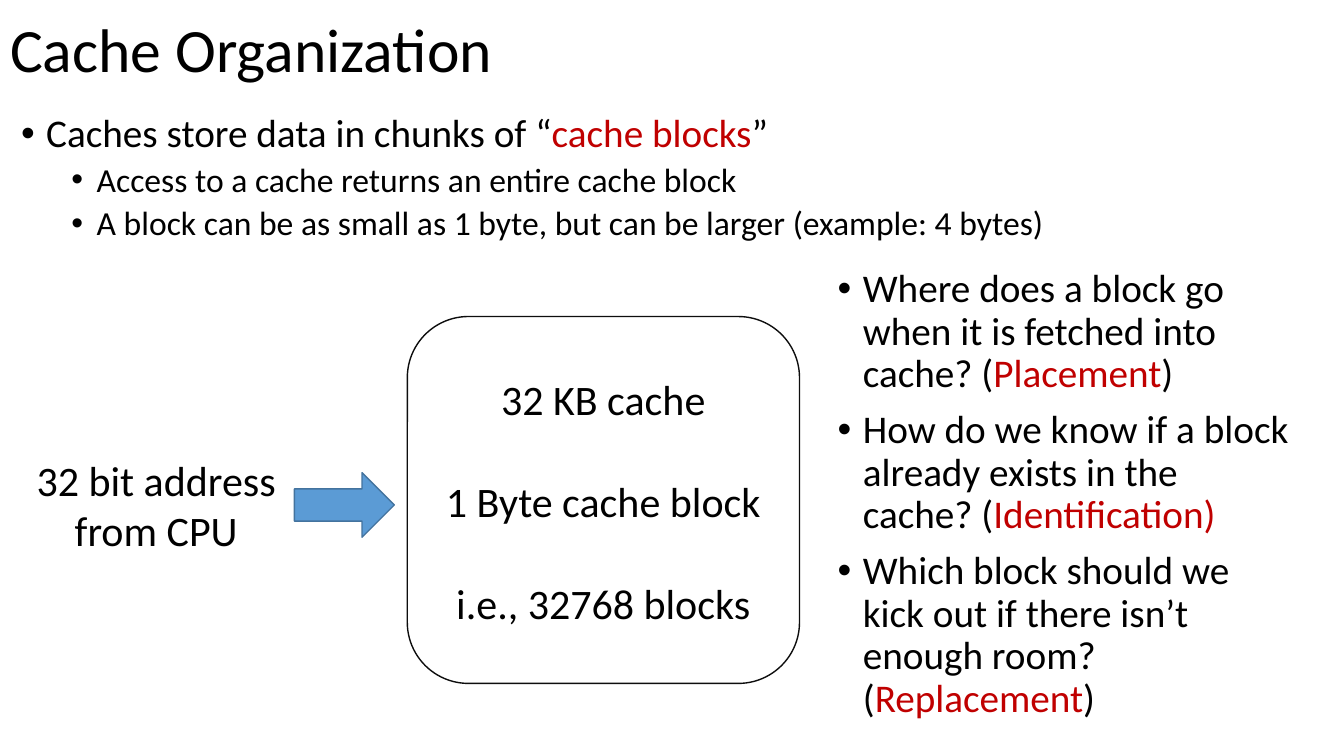
from lxml.etree import SubElement
from pptx import Presentation
from pptx.dml.color import RGBColor
from pptx.enum.shapes import MSO_SHAPE as SHAPE
from pptx.enum.text import MSO_ANCHOR as ANCHOR, PP_ALIGN as ALIGN
from pptx.oxml.ns import qn
from pptx.util import Inches, Pt

WIDTH, HEIGHT = Inches(13.33), Inches(7.5)
FONT, BLACK, RED = "Calibri", "000000", "C00000"
LEVELS = [(28, 10, 0.25), (24, 5, 0.75)]

OVERVIEW = [
    (0, ["Caches store data in chunks of “", "cache blocks", "”"]),
    (1, ["Access to a cache returns an entire cache block"]),
    (1, ["A block can be as small as 1 byte, but can be larger (example: 4 bytes)"]),
]
QUESTIONS = [
    (0, ["Where does a block go when it is fetched into cache? (", "Placement", ")"]),
    (0, ["How do we know if a block already exists in the cache? (", "Identification)"]),
    (0, ["Which block should we kick out if there isn’t enough room? (", "Replacement", ")"]),
]


def color(value):
    """Turn a hex string into a colour."""
    return RGBColor.from_string(value)


def box(x, y, w, h):
    """Turn percentages of the slide into left, top, width and height."""
    return [int(WIDTH * x / 100), int(HEIGHT * y / 100),
            int(WIDTH * w / 100), int(HEIGHT * h / 100)]


def style(r, size, hex_color=BLACK):
    """Format the font of a run."""
    r.font.name, r.font.size = FONT, Pt(size)
    r.font.color.rgb = color(hex_color)


def add_title(slide, text, area):
    """Fill and place the title placeholder."""
    sp = slide.shapes.title
    sp.left, sp.top, sp.width, sp.height = area
    tf = sp.text_frame
    tf.text = text
    tf.vertical_anchor = ANCHOR.MIDDLE
    p = tf.paragraphs[0]
    p.alignment, p.line_spacing = ALIGN.LEFT, 0.9
    style(p.runs[0], 44)


def add_bullets(slide, items, area):
    """Add a bulleted list whose every second run is highlighted."""
    tf = slide.shapes.add_textbox(*area).text_frame
    tf.word_wrap = True
    for i, (level, parts) in enumerate(items):
        p = tf.add_paragraph() if i else tf.paragraphs[0]
        size, before, indent = LEVELS[level]
        p.level, p.line_spacing, p.space_before = level, 0.9, Pt(before)
        pPr = p._p.get_or_add_pPr()
        pPr.set("marL", str(Inches(indent)))
        pPr.set("indent", str(Inches(-0.25)))
        SubElement(pPr, qn("a:buFont"), typeface="Arial")
        SubElement(pPr, qn("a:buChar"), char="•")
        for j, part in enumerate(parts):
            r = p.add_run()
            r.text = part
            style(r, size, RED if j % 2 else BLACK)


def add_label(slide, lines, area, gap=0):
    """Add centred lines with a gap in points between them."""
    tf = slide.shapes.add_textbox(*area).text_frame
    tf.word_wrap = False
    tf.text = "\n".join(lines)
    for i, p in enumerate(tf.paragraphs):
        p.alignment, p.space_before = ALIGN.CENTER, Pt(gap if i else 0)
        style(p.runs[0], 30)


def add_figure(slide, kind, area, line, fill=None):
    """Add a preset shape with an outline and an optional fill."""
    sp = slide.shapes.add_shape(kind, *area)
    sp.shadow.inherit = False
    sp.line.color.rgb, sp.line.width = color(line), Pt(1)
    if fill:
        sp.fill.solid()
        sp.fill.fore_color.rgb = color(fill)
    else:
        sp.fill.background()


def main():
    """Build and save the slide."""
    prs = Presentation()
    prs.slide_width, prs.slide_height = WIDTH, HEIGHT
    slide = prs.slides.add_slide(prs.slide_layouts[5])
    add_title(slide, "Cache Organization", box(0, -2.67, 86.25, 19.33))
    add_figure(slide, SHAPE.ROUNDED_RECTANGLE, box(30.31, 41.87, 29.18, 48.53), "0D0D0D")
    add_bullets(slide, OVERVIEW, box(0.83, 14.4, 88.15, 81.6))
    add_label(slide, ["32 KB cache", "1 Byte cache block", "i.e., 32768 blocks"],
              box(32.33, 48.8, 25.13, 35.07), gap=36.6)
    add_figure(slide, SHAPE.RIGHT_ARROW, box(21.91, 62.53, 7.43, 8.53), "43739E", "5B9BD5")
    add_label(slide, ["32 bit address", "from CPU"], box(1.88, 59.47, 19.5, 14.8))
    add_bullets(slide, QUESTIONS, box(61.59, 34.93, 35.48, 81.6))
    prs.save("out.pptx")


if __name__ == "__main__":
    main()
